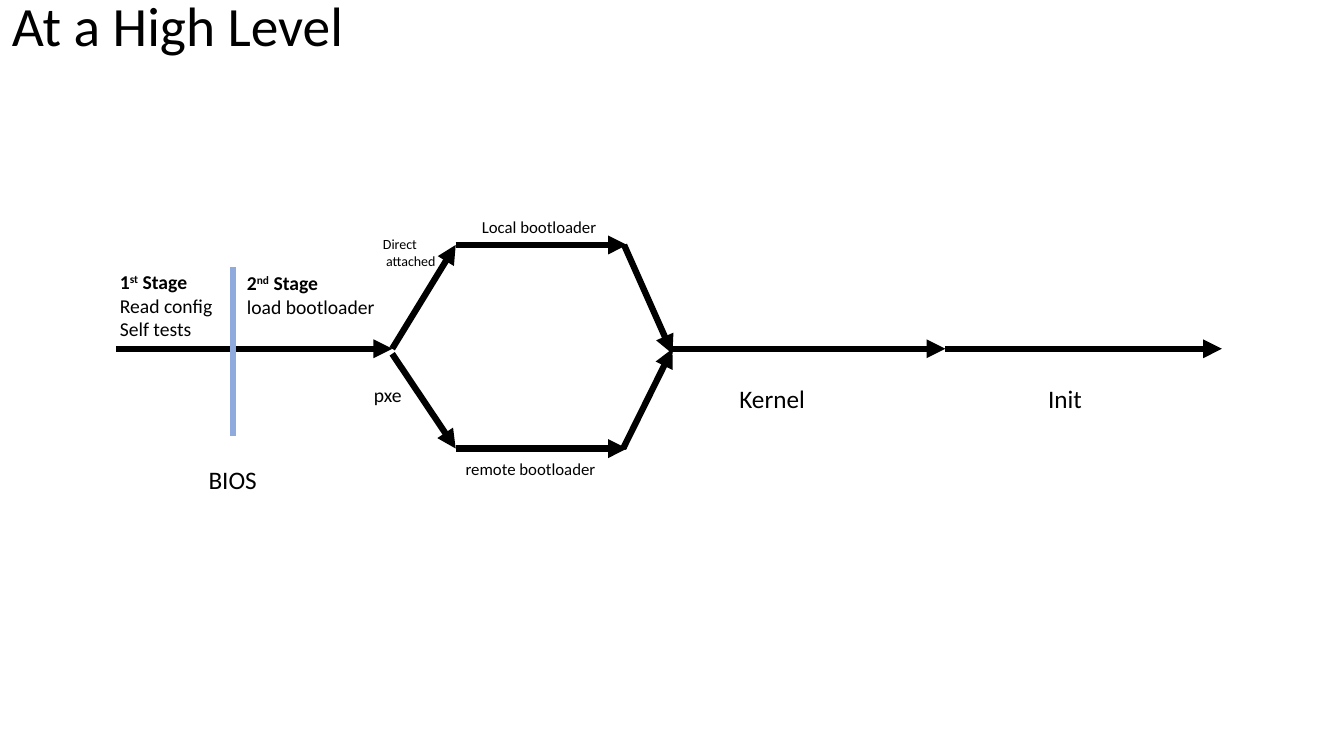
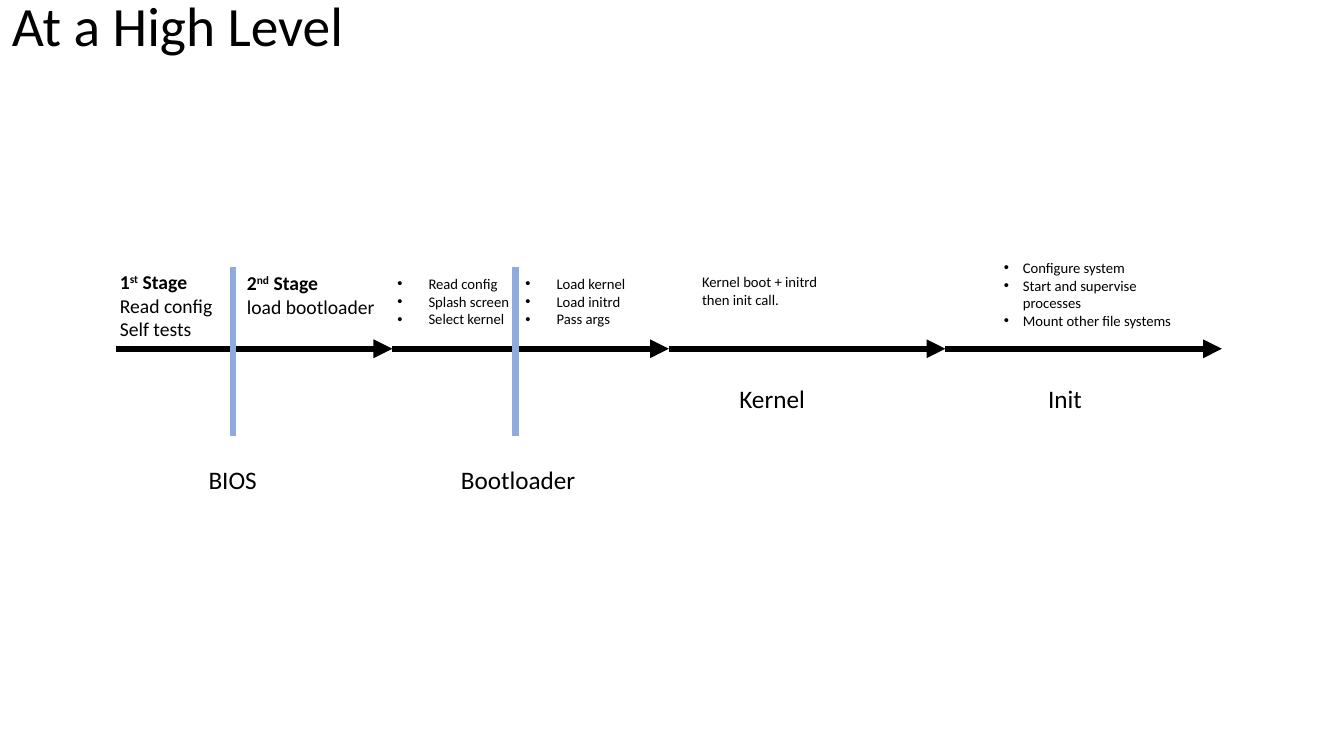
from dataclasses import dataclass

from lxml.etree import SubElement
from pptx import Presentation
from pptx.dml.color import RGBColor
from pptx.enum.shapes import MSO_CONNECTOR as Connector
from pptx.enum.text import MSO_ANCHOR as Anchor, MSO_AUTO_SIZE as AutoSize
from pptx.oxml.ns import qn
from pptx.util import Inches, Pt


@dataclass(frozen=True)
class Theme:
    font: str = "Calibri"
    ink: RGBColor = RGBColor(0x00, 0x00, 0x00)
    divider: RGBColor = RGBColor(0x8F, 0xAA, 0xDC)
    line_width: float = 4.5
    title: float = 39.6
    phase: float = 18
    stage: float = 14
    branch: float = 12
    detail: float = 10.5
    small: float = 10


THEME = Theme()


@dataclass(frozen=True)
class Box:
    left: float
    top: float
    width: float
    height: float

    def inner(self, x, y, width, height):
        """A box whose position is measured from this box's corner."""
        return Box(self.left + x, self.top + y, width, height)

    def point(self, x, y):
        return self.left + x, self.top + y


TITLE = Box(0.02, 0.02, 11.5, 0.52)
TIMELINE = Box(1.15, 2.5, 10.97, 2.46)
FORK = Box(3.89, 2.43, 2.78, 2.02)
AXIS = 0.96  # arrow height below the top of the timeline
PHASE_WIDTH = TIMELINE.width / 4


# Basic elements
def add_line(slide, start, end, color=THEME.ink, arrow=True):
    line = slide.shapes.add_connector(
        Connector.STRAIGHT, *(Inches(value) for value in (*start, *end)))
    line.line.color.rgb = color
    line.line.width = Pt(THEME.line_width)
    properties = line._element.spPr
    if arrow:
        SubElement(properties.find(qn("a:ln")), qn("a:tailEnd"), type="triangle")
    SubElement(properties, qn("a:effectLst"))


def add_text(slide, box, lines, size, wrap=False, auto_size=AutoSize.SHAPE_TO_FIT_TEXT):
    shape = slide.shapes.add_textbox(
        Inches(box.left), Inches(box.top), Inches(box.width), Inches(box.height))
    frame = shape.text_frame
    frame.word_wrap = wrap
    frame.auto_size = auto_size
    for index, text in enumerate(lines):
        paragraph = frame.paragraphs[0] if index == 0 else frame.add_paragraph()
        paragraph.add_run().text = text
        paragraph.font.name = THEME.font
        paragraph.font.size = Pt(size)
        paragraph.font.color.rgb = THEME.ink
    return frame


def add_bullets(slide, box, lines, indent):
    frame = add_text(slide, box, lines, THEME.detail, wrap=True)
    for paragraph in frame.paragraphs:
        properties = paragraph._p.get_or_add_pPr()
        properties.set("marL", str(Inches(indent)))
        properties.set("indent", str(-Inches(indent)))
        bullet_font = properties.makeelement(qn("a:buFont"), {"typeface": "Arial"})
        bullet = properties.makeelement(qn("a:buChar"), {"char": "•"})
        properties.insert(0, bullet_font)
        properties.insert(1, bullet)


def add_stage(slide, box, number, suffix, lines):
    """A bold ordinal heading over plain lines."""
    frame = add_text(slide, box, [number, *lines], THEME.stage)
    heading = frame.paragraphs[0]
    heading.font.bold = True
    ordinal = heading.add_run()
    ordinal.text = suffix
    ordinal._r.get_or_add_rPr().set("baseline", "30000")
    heading.add_run().text = " Stage"


# Regions
def add_title(slide, box, text):
    frame = add_text(slide, box, [text], THEME.title, wrap=True, auto_size=AutoSize.NONE)
    frame.vertical_anchor = Anchor.MIDDLE
    frame.paragraphs[0].line_spacing = 0.9


def add_phase(slide, box, name, label):
    """One arrow of the timeline with its name below."""
    add_line(slide, box.point(0, AXIS), box.point(box.width, AXIS))
    add_text(slide, box.inner(*label), [name], THEME.phase)


def add_divider(slide, box, x):
    add_line(slide, box.point(x, 1.83), box.point(x, 0.15), THEME.divider, arrow=False)


def add_bios(slide, box):
    add_phase(slide, box, "BIOS", (0.82, 2.06, 0.68, 0.4))
    add_divider(slide, box, 1.16)
    add_stage(slide, box.inner(-0.06, 0.13, 1.13, 0.81), "1", "st",
              ["Read config", "Self tests"])
    add_stage(slide, box.inner(1.2, 0.14, 1.48, 0.57), "2", "nd", ["load bootloader"])


def add_bootloader(slide, box):
    add_phase(slide, box, "Bootloader", (0.58, 2.06, 1.35, 0.4))
    add_divider(slide, box, 1.22)
    columns = (
        (-0.05, ["Read config", "Splash screen", "Select kernel"]),
        (1.22, ["Load kernel", "Load initrd", "Pass args"]),
    )
    for x, lines in columns:
        add_bullets(slide, box.inner(x, 0.18, 1.6, 0.63), lines, 0.31)


def add_kernel(slide, box):
    add_phase(slide, box, "Kernel", (0.6, 1.25, 0.86, 0.4))


def add_init(slide, box):
    add_phase(slide, box, "Init", (0.92, 1.25, 0.54, 0.4))


def add_fork(slide, box):
    """Local and remote boot routes that split and meet again."""
    middle, upper_left, upper_right = 1.03, 0.63, 2.33
    arrows = (
        ((upper_left, 0), (upper_right, 0)),
        ((upper_left, box.height), (upper_right, box.height)),
        ((0, middle), (upper_left, 0)),
        ((0, middle + 0.05), (upper_left, box.height)),
        ((2.3, 0), (box.width, middle + 0.05)),
        ((2.29, box.height), (box.width, middle)),
    )
    for start, end in arrows:
        add_line(slide, box.point(*start), box.point(*end))
    labels = (
        ((0.79, -0.33, 1.35, 0.3), ["Local bootloader"], THEME.branch),
        ((0.63, 2.07, 1.5, 0.3), ["remote bootloader"], THEME.branch),
        ((-0.28, 1.32, 0.48, 0.34), ["pxe"], THEME.stage),
        ((-0.19, -0.14, 0.74, 0.44), ["Direct", " attached"], THEME.small),
    )
    for place, lines, size in labels:
        add_text(slide, box.inner(*place), lines, size)


def add_kernel_details(slide, box):
    add_text(slide, box.inner(0.23, 0.16, 1.6, 0.45),
             ["Kernel boot + initrd then init call."], THEME.detail, wrap=True)


def add_init_details(slide, box):
    add_bullets(slide, box.inner(0.48, 0.02, 1.94, 0.81),
                ["Configure system", "Start and supervise processes",
                 "Mount other file systems"], 0.19)


# Slides
def add_boot_slide(presentation):
    """A titled slide with the shared phases; returns it with the phase boxes."""
    slide = presentation.slides.add_slide(presentation.slide_layouts[6])
    phases = [TIMELINE.inner(index * PHASE_WIDTH, 0, PHASE_WIDTH, TIMELINE.height)
              for index in range(4)]
    bios, _, kernel, init = phases
    add_title(slide, TITLE, "At a High Level")
    add_bios(slide, bios)
    add_kernel(slide, kernel)
    add_init(slide, init)
    return slide, phases


def add_routes_slide(presentation):
    slide, _ = add_boot_slide(presentation)
    add_fork(slide, FORK)


def add_details_slide(presentation):
    slide, (_, bootloader, kernel, init) = add_boot_slide(presentation)
    add_bootloader(slide, bootloader)
    add_kernel_details(slide, kernel)
    add_init_details(slide, init)


def main():
    presentation = Presentation()
    presentation.slide_width = Inches(13.33)
    presentation.slide_height = Inches(7.5)
    add_routes_slide(presentation)
    add_details_slide(presentation)
    presentation.save("out.pptx")


if __name__ == "__main__":
    main()
